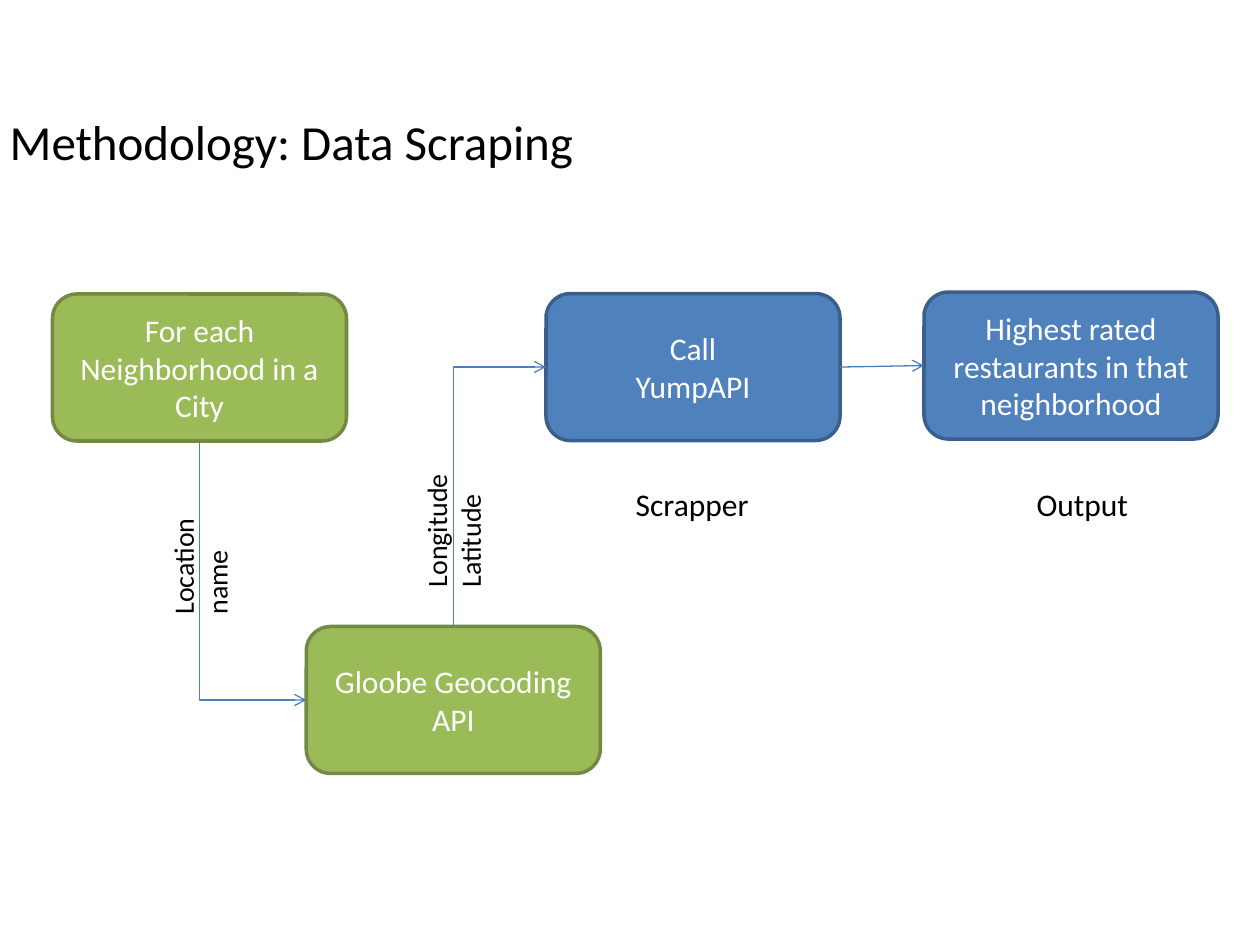
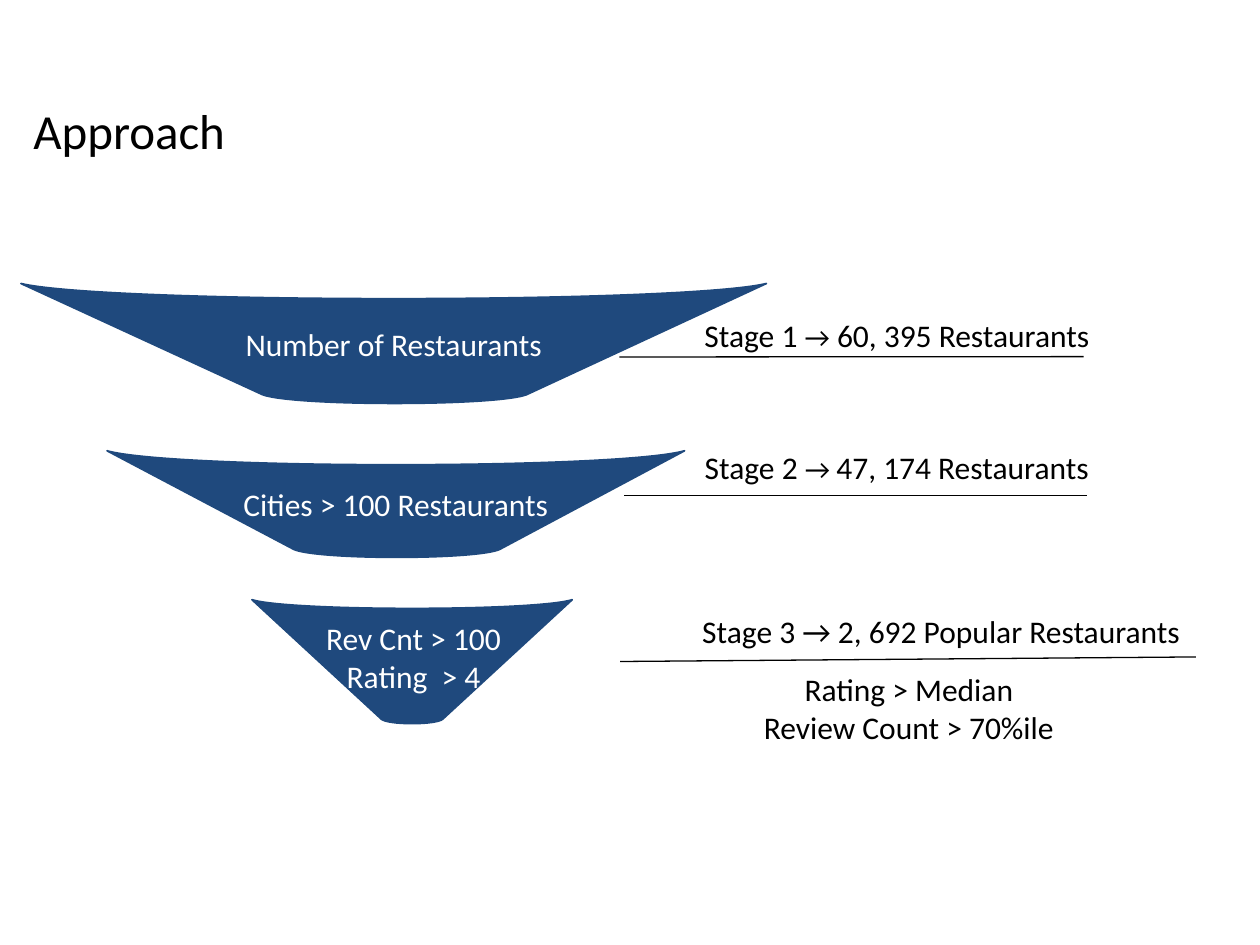
from lxml import etree
from pptx import Presentation
from pptx.dml.color import RGBColor
from pptx.enum import shapes, text
from pptx.oxml import ns
from pptx.util import Pt

# Shared style
FONT = "Calibri"
COLORS = {"black": "000000", "white": "FFFFFF", "green": "9BBB59", "green_edge": "738A42",
          "blue": "4F81BD", "blue_edge": "3A5F8C", "arrow": "4B7EBC", "navy": "1F497D"}
TITLE_SIZE, BODY_SIZE, SMALL_SIZE = 28, 18, 16
CENTER = text.PP_ALIGN.CENTER

# Slide 1: flow chart (lengths in points)
FLOW_TITLE = ("Methodology: Data Scraping", -1.5, 60, 366)
BOX_W, BOX_H = 168, 84
STEPS = {  # name: (text, left, top, colour)
    "city": ("For each Neighborhood in a City", 30, 168, "green"),
    "scraper": ("Call\nYumpAPI", 312, 167.75, "blue"),
    "output": ("Highest rated restaurants in that neighborhood", 528, 166.9, "blue"),
    "geocoder": ("Gloobe Geocoding API", 175, 358, "green"),
}
CAPTIONS = [("Scrapper", 356.2, 80), ("Output", 585.2, 68)]
CAPTION_TOP = 273.6
DATA_LABELS = [  # lines, left, top, width before turning
    (["Location", "name"], 79, 300, 70.6),
    (["Longitude", "Latitude"], 219, 279.7, 80),
]

# Slide 2: funnel
FUNNEL_TITLE = ("Approach", 12, 54, 564)
FUNNEL = [  # text, rim left/right/top/depth, foot left/right/top/depth
    ("Cities > 100 Restaurants", (61.2, 391.2, 257.6, 8), (168, 285.5, 314, 4.5)),
    ("Number of Restaurants", (12, 438, 162, 8.7), (150, 301, 225.5, 5)),
]
FUNNEL_TIP = ((144, 327, 342.7, 5), (218, 253, 411, 2.5))
TIP_TEXT = (["Rev Cnt > 100", "Rating  > 4"], 150.6, 350.3, 171.5)
RULES = [(354, 204, 619.2, 203.8), (356.8, 283, 621.2, 283), (354.4, 378, 683.4, 375.4)]
STAGES = [  # runs, left, top, width
    ([("Stage 1 ", BODY_SIZE), ("→", SMALL_SIZE), (" 60, 395 Restaurants", BODY_SIZE)],
     386.6, 177.3, 252),
    ([("Stage 2 ", BODY_SIZE), ("→ ", SMALL_SIZE), ("47, 174 Restaurants", BODY_SIZE)],
     391.2, 252.6, 242.6),
    ([("Stage 3 → 2, 692 Popular Restaurants", BODY_SIZE)], 378.4, 346.3, 319),
]
CRITERIA = (["Rating > Median", "Review Count > 70%ile"], 378.4, 379.2, 246)
CRITERIA_INDENT = 36


def rgb(name):
    return RGBColor.from_string(COLORS[name])


def write(tf, paragraphs, color="black", align=None):
    """Each paragraph is a list of (text, size) runs; a newline is a line break."""
    for i, runs in enumerate(paragraphs):
        p = tf.paragraphs[0] if i == 0 else tf.add_paragraph()
        p.alignment = align
        for words, size in runs:
            for j, line in enumerate(words.split("\n")):
                if j:
                    p.add_line_break()
                r = p.add_run()
                r.text = line
                r.font.name, r.font.size = FONT, Pt(size)
                r.font.color.rgb = rgb(color)


def plain(lines, size=BODY_SIZE):
    return [[(line, size)] for line in lines]


def add_text(s, paragraphs, left, top, width, height, color="black", align=None, wrap=True):
    sp = s.shapes.add_textbox(Pt(left), Pt(top), Pt(width), Pt(height))
    tf = sp.text_frame
    tf.word_wrap = wrap
    tf.auto_size = text.MSO_AUTO_SIZE.SHAPE_TO_FIT_TEXT
    write(tf, paragraphs, color, align)
    return sp


def add_title(s, words, left, top, width):
    add_text(s, plain([words], TITLE_SIZE), left, top, width, 41)


def paint(sp, fill, edge, width):
    sp.shadow.inherit = False
    sp.fill.solid()
    sp.fill.fore_color.rgb = rgb(fill)
    sp.line.color.rgb = rgb(edge)
    sp.line.width = Pt(width)
    sp.text_frame.word_wrap = True
    sp.text_frame.vertical_anchor = text.MSO_ANCHOR.MIDDLE


def add_line(s, x1, y1, x2, y2, color, kind=shapes.MSO_CONNECTOR.STRAIGHT, arrow=False):
    c = s.shapes.add_connector(kind, Pt(x1), Pt(y1), Pt(x2), Pt(y2))
    c.line.color.rgb = rgb(color)
    c.line.width = Pt(0.75)
    if arrow:
        etree.SubElement(c.line._get_or_add_ln(), ns.qn("a:tailEnd"), type="arrow")
    etree.SubElement(c._element.spPr, ns.qn("a:effectLst"))
    return c


def add_elbow(s, start, end):
    """Arrow from a box's top or bottom, vertical first, into the next box's left side."""
    down = end.top > start.top
    x1 = (start.left + start.width / 2) / Pt(1)
    y1 = (start.top + (start.height if down else 0)) / Pt(1)
    x2, y2 = end.left / Pt(1), (end.top + end.height / 2) / Pt(1)
    cx, cy = (x1 + x2) / 2, (y1 + y2) / 2
    # The frame is a quarter turn away, so its sides swap; begin past end means a flip
    half_w, half_h = abs(y2 - y1) / 2, abs(x2 - x1) / 2
    rise = half_h if down else -half_h
    c = add_line(s, cx + half_w, cy - rise, cx - half_w, cy + rise, "arrow",
                 shapes.MSO_CONNECTOR.ELBOW, arrow=True)
    spPr = c._element.spPr
    spPr.find(ns.qn("a:xfrm")).set("rot", "16200000" if down else "5400000")
    spPr.find(ns.qn("a:prstGeom")).set("prst", "bentConnector2")


def sagging_edge(left, right, top, depth):
    """Ends and handles of two curves that meet at the lowest point, midway."""
    reach, low = (right - left) / 2, top + depth
    handle = top + 0.6 * depth
    return [(left, top), (left + 0.1 * reach, handle), (left + 0.5 * reach, low),
            (left + reach, low),
            (right - 0.5 * reach, low), (right - 0.1 * reach, handle), (right, top)]


def add_funnel_part(s, rim, foot):
    points = [(Pt(x), Pt(y)) for x, y in sagging_edge(*rim) + sagging_edge(*foot)[::-1]]
    fb = s.shapes.build_freeform(*points[0])
    fb.add_line_segments(points[1:], close=True)
    sp = fb.convert_to_shape()
    # Join each three points of an edge into one curve; the line between edges stays
    lines = list(sp._element.iter(ns.qn("a:lnTo")))
    for first in (0, 3, 7, 10):
        curve = etree.Element(ns.qn("a:cubicBezTo"))
        lines[first].addprevious(curve)
        for line in lines[first:first + 3]:
            curve.append(line[0])
            line.getparent().remove(line)
    paint(sp, "navy", "navy", 1)
    return sp


def build_flow(s):
    add_title(s, *FLOW_TITLE)
    boxes = {}
    for name, (words, left, top, color) in STEPS.items():
        sp = s.shapes.add_shape(shapes.MSO_SHAPE.ROUNDED_RECTANGLE,
                                Pt(left), Pt(top), Pt(BOX_W), Pt(BOX_H))
        paint(sp, color, color + "_edge", 2)
        write(sp.text_frame, plain([words]), "white", CENTER)
        boxes[name] = sp
    # Arrows
    c = add_line(s, 0, 0, 1, 1, "arrow", arrow=True)
    c.begin_connect(boxes["scraper"], 3)
    c.end_connect(boxes["output"], 1)
    add_elbow(s, boxes["city"], boxes["geocoder"])
    add_elbow(s, boxes["geocoder"], boxes["scraper"])
    # Captions and turned labels
    for words, left, width in CAPTIONS:
        add_text(s, plain([words]), left, CAPTION_TOP, width, 29, wrap=False)
    for lines, left, top, width in DATA_LABELS:
        sp = add_text(s, plain(lines, SMALL_SIZE), left, top, width, 46, wrap=False)
        sp.rotation = 270


def build_funnel(s):
    add_title(s, *FUNNEL_TITLE)
    for words, rim, foot in FUNNEL:
        sp = add_funnel_part(s, rim, foot)
        write(sp.text_frame, plain([words]), "white", CENTER)
    # Stages
    for ends in RULES:
        add_line(s, *ends, "black")
    for runs, left, top, width in STAGES:
        add_text(s, [runs], left, top, width, 29, align=CENTER)
    # Tip of the funnel, grouped with its text
    group = s.shapes.add_group_shape()
    add_funnel_part(group, *FUNNEL_TIP)
    lines, left, top, width = TIP_TEXT
    add_text(group, plain(lines), left, top, width, 51, "white", CENTER)
    # Criteria of the last stage
    lines, left, top, width = CRITERIA
    sp = add_text(s, plain(lines), left, top, width, 51, align=CENTER)
    for p in sp.text_frame.paragraphs:
        p.level = 1
        p._p.get_or_add_pPr().set("marL", str(Pt(CRITERIA_INDENT)))


def main():
    prs = Presentation()
    prs.slide_width, prs.slide_height = Pt(720), Pt(540)
    for build in (build_flow, build_funnel):
        build(prs.slides.add_slide(prs.slide_layouts[6]))
    prs.save("out.pptx")


if __name__ == "__main__":
    main()
